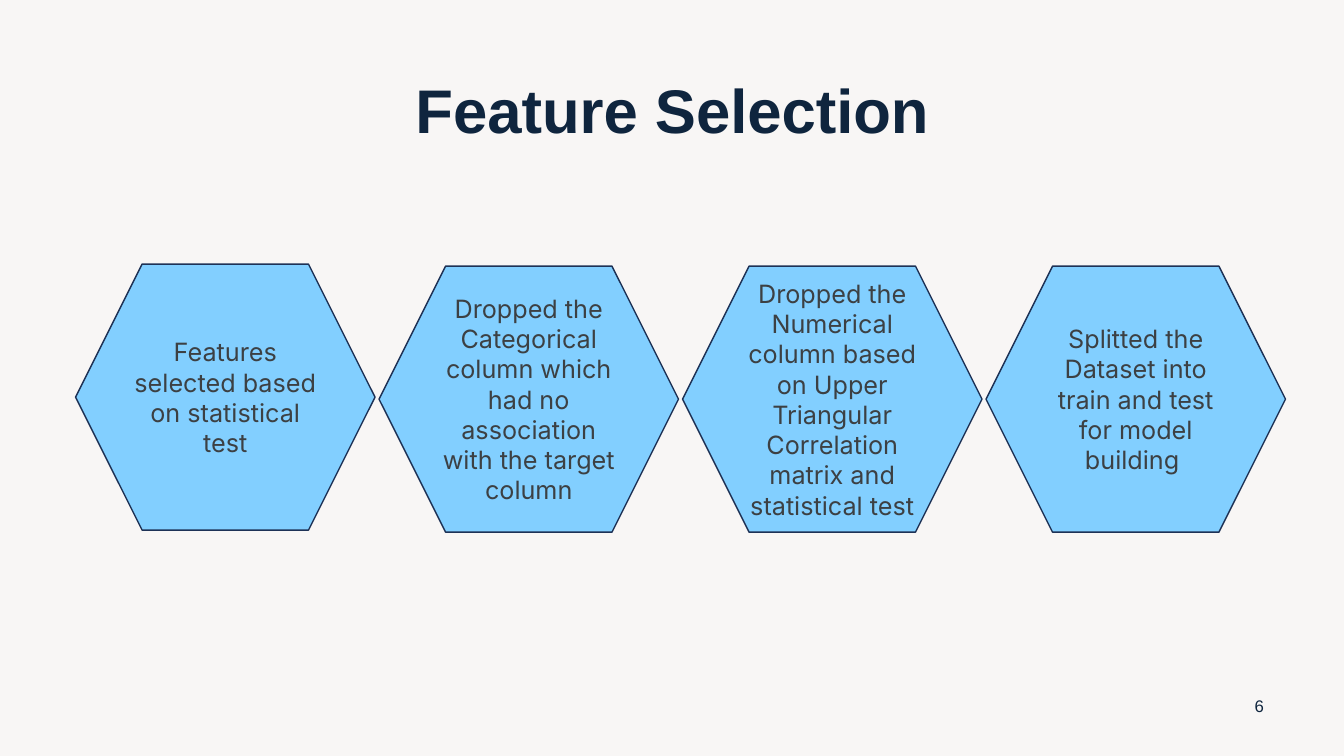
from pptx import Presentation
from pptx.dml.color import RGBColor
from pptx.enum.shapes import MSO_SHAPE as Shape
from pptx.enum.text import MSO_ANCHOR as Anchor, PP_ALIGN as Align
from pptx.util import Inches, Pt

COLORS = {
    "background": "F8F6F5",
    "navy": "0F253E",
    "hexagon": "82CFFF",
    "outline": "1E3256",
    "body": "3C4043",
}
STEPS = [
    "Features selected based on statistical test",
    "Dropped the Categorical column which had no association with the target column",
    "Dropped the Numerical column based on Upper Triangular Correlation matrix and statistical test",
    "Splitted the Dataset into train and test for model building ",
]
FIRST_LEFT, STEP_PITCH = 0.75, 3.01
FIRST_TOP, OTHER_TOP = 2.62, 2.64
HEXAGON_WIDTH, HEXAGON_HEIGHT = 2.97, 2.64


def color(name):
    return RGBColor.from_string(COLORS[name])


def write(shape, text, *, size, ink, font="Arial", bold=False, line_spacing=None):
    """Put centred text in the middle of a shape."""
    frame = shape.text_frame
    frame.word_wrap = True
    frame.vertical_anchor = Anchor.MIDDLE
    paragraph = frame.paragraphs[0]
    paragraph.alignment = Align.CENTER
    paragraph.line_spacing = line_spacing
    run = paragraph.add_run()
    run.text = text
    run.font.name = font
    run.font.size = Pt(size)
    run.font.bold = bold
    run.font.color.rgb = color(ink)


def set_title(slide, text):
    title = slide.shapes.title
    title.left, title.top = Inches(0.92), Inches(0.4)
    title.width, title.height = Inches(11.5), Inches(1.45)
    write(title, text, size=44, ink="navy", bold=True, line_spacing=0.9)


def add_page_number(slide, number):
    box = slide.shapes.add_textbox(Inches(12.24), Inches(6.8), Inches(0.5), Inches(0.4))
    write(box, str(number), size=12, ink="navy")


def add_hexagon(slide, left, top, text):
    hexagon = slide.shapes.add_shape(
        Shape.HEXAGON, Inches(left), Inches(top), Inches(HEXAGON_WIDTH), Inches(HEXAGON_HEIGHT)
    )
    hexagon.shadow.inherit = False
    hexagon.fill.solid()
    hexagon.fill.fore_color.rgb = color("hexagon")
    hexagon.line.color.rgb = color("outline")
    hexagon.line.width = Pt(1)
    write(hexagon, text, size=18, ink="body", font="Inter")


def main():
    presentation = Presentation()
    presentation.slide_width = Inches(13.33)
    presentation.slide_height = Inches(7.5)
    slide = presentation.slides.add_slide(presentation.slide_layouts[5])
    slide.background.fill.solid()
    slide.background.fill.fore_color.rgb = color("background")

    set_title(slide, "Feature Selection")
    add_page_number(slide, 6)
    for index, step in enumerate(STEPS):
        top = OTHER_TOP if index else FIRST_TOP
        add_hexagon(slide, FIRST_LEFT + index * STEP_PITCH, top, step)

    presentation.save("out.pptx")


if __name__ == "__main__":
    main()
